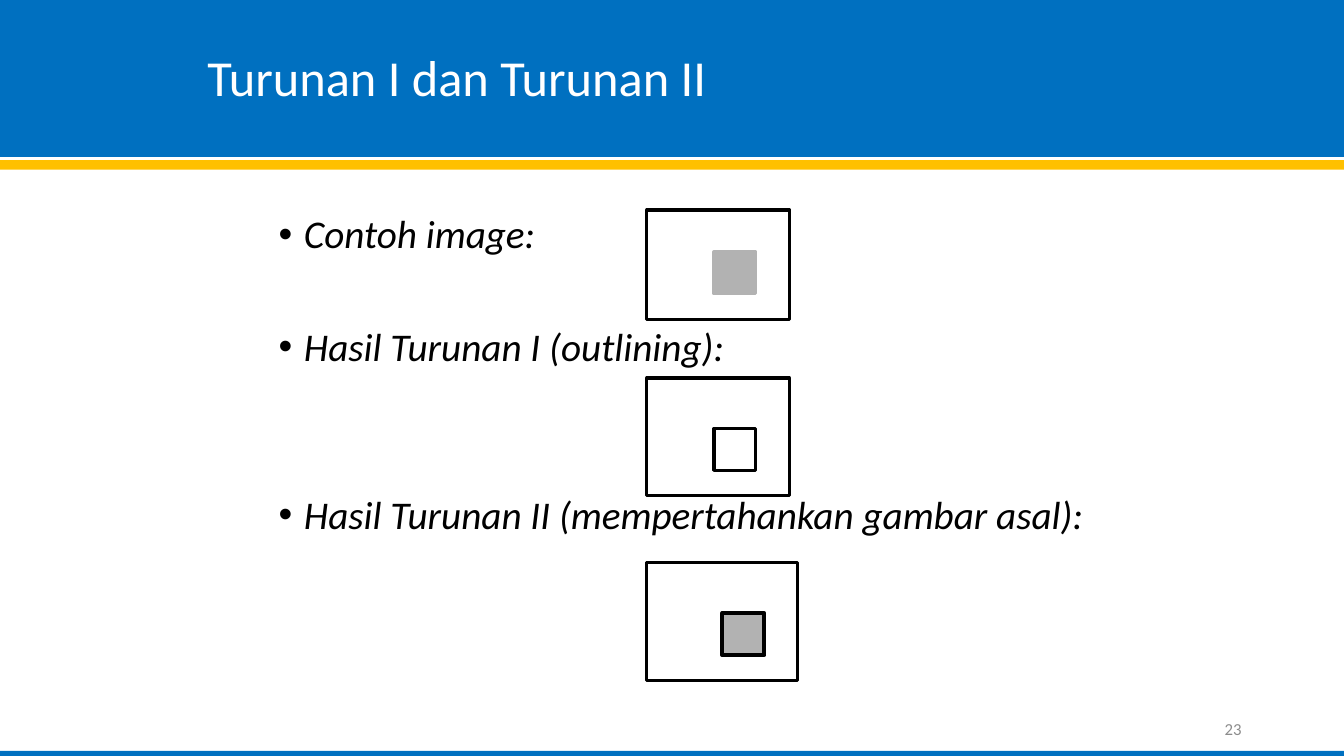
from dataclasses import dataclass

from lxml import etree
from pptx import Presentation
from pptx.dml.color import RGBColor
from pptx.enum.shapes import MSO_SHAPE
from pptx.enum.text import MSO_ANCHOR, MSO_AUTO_SIZE, PP_ALIGN
from pptx.oxml.ns import qn
from pptx.util import Pt

RECT = MSO_SHAPE.RECTANGLE
MIDDLE, TOP = MSO_ANCHOR.MIDDLE, MSO_ANCHOR.TOP
LEFT, RIGHT = PP_ALIGN.LEFT, PP_ALIGN.RIGHT
NO_FIT = MSO_AUTO_SIZE.NONE
WIDE, HIGH = 960, 540


@dataclass(frozen=True)
class Theme:
    font: str = "Calibri"
    blue: str = "0070C0"
    gold: str = "FFC000"
    white: str = "FFFFFF"
    black: str = "000000"
    gray: str = "B2B2B2"
    pale: str = "8C8C8C"
    title: int = 36
    body: int = 28
    small: int = 12


class Deck:
    def __init__(self, theme):
        self.theme = theme
        self.file = Presentation()
        self.file.slide_width, self.file.slide_height = Pt(WIDE), Pt(HIGH)
        self.slide = self.file.slides.add_slide(self.file.slide_layouts[5])

    def style(self, item, values):
        for name, value in values.items():
            setattr(item, name, value)

    def box(self, x, y, w, h, fill, line=None, width=2.25):
        shape = self.slide.shapes.add_shape(RECT, Pt(x), Pt(y), Pt(w), Pt(h))
        shape.shadow.inherit = False
        shape.fill.solid()
        shape.fill.fore_color.rgb = RGBColor.from_string(fill)
        if line:
            shape.line.color.rgb = RGBColor.from_string(line)
            shape.line.width = Pt(width)
        else:
            shape.line.fill.background()

    def words(self, para, text, size, color, **values):
        run = para.add_run()
        run.text = text
        self.style(run.font, {"name": self.theme.font, "size": Pt(size), **values})
        run.font.color.rgb = RGBColor.from_string(color)

    def frame(self, shape, anchor):
        self.style(shape.text_frame, {
            "word_wrap": True, "auto_size": NO_FIT, "vertical_anchor": anchor})
        return shape.text_frame

    def title(self, x, y, w, h, text):
        shape = self.slide.shapes.title
        self.style(shape, {
            "left": Pt(x), "top": Pt(y), "width": Pt(w), "height": Pt(h)})
        para = self.frame(shape, MIDDLE).paragraphs[0]
        self.style(para, {"alignment": LEFT, "line_spacing": 0.9})
        self.words(para, text, self.theme.title, self.theme.white)
        # Bring the title in front of the header band
        shape.element.getparent().append(shape.element)

    def text(self, x, y, w, h, anchor=TOP):
        shape = self.slide.shapes.add_textbox(Pt(x), Pt(y), Pt(w), Pt(h))
        return self.frame(shape, anchor)

    def label(self, x, y, w, h, text):
        para = self.text(x, y, w, h, MIDDLE).paragraphs[0]
        para.alignment = RIGHT
        self.words(para, text, self.theme.small, self.theme.pale)

    def bullets(self, x, y, w, h, items):
        frame = self.text(x, y, w, h)
        for i, (text, gap) in enumerate(items):
            para = frame.add_paragraph() if i else frame.paragraphs[0]
            self.style(para, {"line_spacing": 0.9, "space_before": Pt(gap)})
            props = para._p.get_or_add_pPr()
            props.set("marL", str(Pt(18)))
            props.set("indent", str(Pt(-18)))
            etree.SubElement(props, qn("a:buFont")).set("typeface", "Arial")
            etree.SubElement(props, qn("a:buChar")).set("char", "•")
            self.words(para, text, self.theme.body, self.theme.black, italic=True)


def main():
    theme = Theme()
    deck = Deck(theme)

    # Header bands and bottom rule
    for y, h, fill in ((0, 112.2, theme.blue), (114.4, 6.8, theme.gold),
                       (536.4, 3.6, theme.blue)):
        deck.box(0, y, WIDE, h, fill)
    deck.title(141, 21, 594, 72, "Turunan I dan Turunan II")

    # Captions
    deck.bullets(192, 150, 734, 318, (
        ("Contoh image:", 0),
        ("Hasil Turunan I (outlining):", 50),
        ("Hasil Turunan II (mempertahankan gambar asal):", 90)))

    # Sample images: top, width, height, then the inner square
    side = 30
    for y, w, h, x, drop, fill, line, width in (
            (150, 102, 78, 510, 30, theme.gray, theme.gray, 2.25),
            (270, 102, 84, 510, 36, theme.white, theme.black, 2.25),
            (402, 108, 84, 516, 36, theme.gray, theme.black, 3)):
        deck.box(462, y, w, h, theme.white, theme.black)
        deck.box(x, y + drop, side, side, fill, line, width)

    # Slide number
    deck.label(678, 506, 216, 28.8, "23")
    deck.file.save("out.pptx")


if __name__ == "__main__":
    main()
